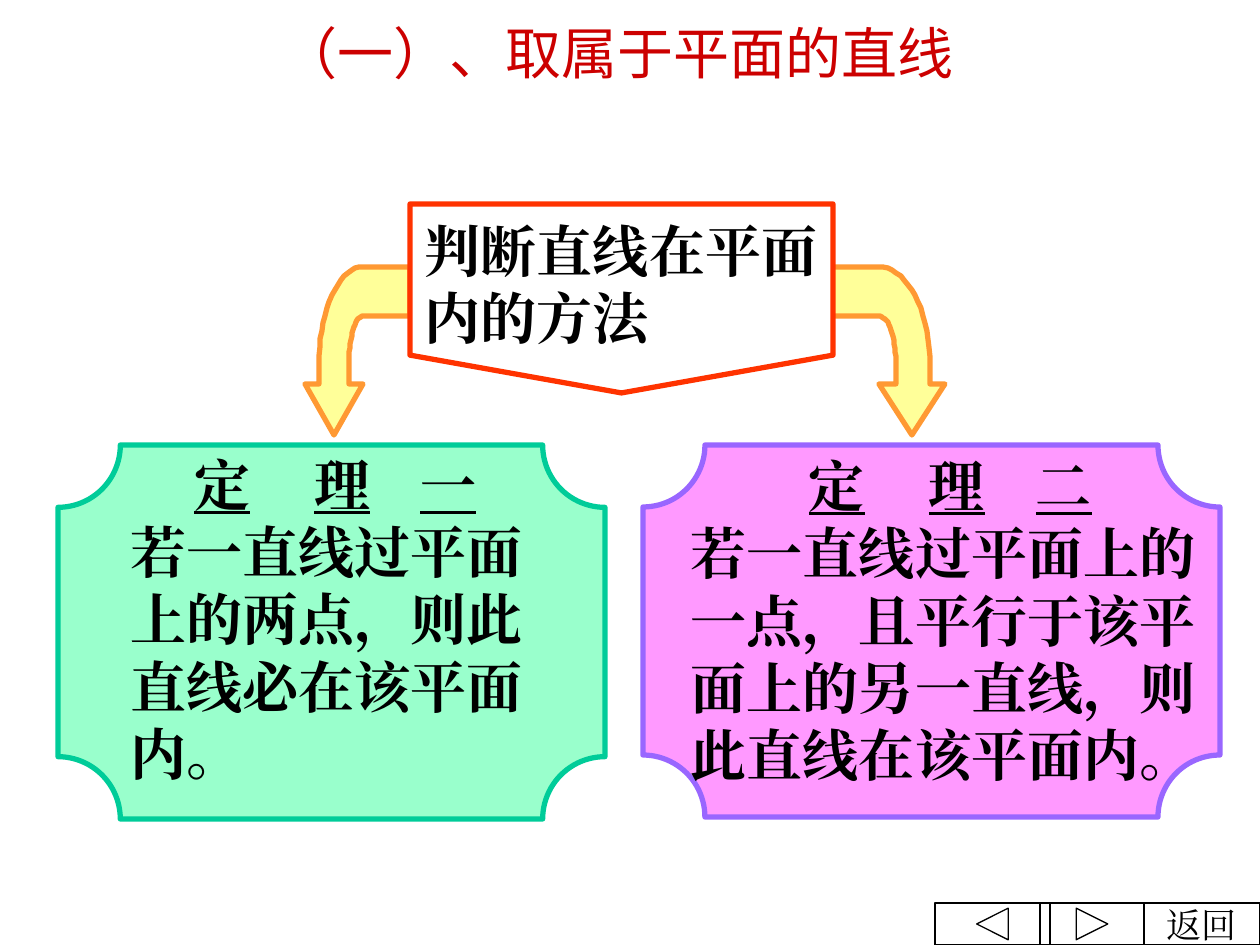
"""Build the slide on choosing straight lines that belong to a plane."""
import dataclasses
import math
import typing

import pptx
import pptx.dml.color
import pptx.enum.shapes
import pptx.enum.text
import pptx.oxml.ns
import pptx.util
from lxml import etree

RGBColor = pptx.dml.color.RGBColor
Preset = pptx.enum.shapes.MSO_SHAPE
Align = pptx.enum.text.PP_ALIGN

PIXEL = 914400 / 126
INSET_X, INSET_Y = 13, 6
SERIF = "Times New Roman"
SANS = "Noto Sans CJK JP"

BLACK = RGBColor(0x00, 0x00, 0x00)
WHITE = RGBColor(0xFF, 0xFF, 0xFF)
TITLE_RED = RGBColor(0xCC, 0x00, 0x00)
FRAME_RED = RGBColor(0xFF, 0x33, 0x00)
YELLOW = RGBColor(0xFF, 0xFF, 0x99)
ORANGE = RGBColor(0xFF, 0x99, 0x33)
MINT = RGBColor(0x99, 0xFF, 0xCC)
GREEN = RGBColor(0x00, 0xCC, 0x99)
PINK = RGBColor(0xFF, 0x99, 0xFF)
PURPLE = RGBColor(0x99, 0x66, 0xFF)


class Box(typing.NamedTuple):
    left: int
    top: int
    width: int
    height: int


@dataclasses.dataclass(frozen=True)
class BentArrow:
    start: int
    bend: int
    direction: int
    outer: int
    inner: int
    head: int


@dataclasses.dataclass(frozen=True)
class Theorem:
    plaque: Box
    text_box: Box
    fill: RGBColor
    line: RGBColor
    number: str
    statement: str
    tabs: tuple[int, ...]


@dataclasses.dataclass(frozen=True)
class Button:
    preset: typing.Any
    box: Box
    label: str = ""


ARROWS = (
    BentArrow(start=829, bend=879, direction=1, outer=51, inner=17, head=66),
    BentArrow(start=410, bend=363, direction=-1, outer=44, inner=14, head=58),
)
THEOREMS = (
    Theorem(Box(58, 445, 547, 374), Box(117, 444, 462, 349), MINT, GREEN, "一",
            "若一直线过平面上的两点，则此直线必在该平面内。", (64, 184, 290)),
    Theorem(Box(643, 445, 577, 372), Box(678, 445, 544, 349), PINK, PURPLE, "二",
            "若一直线过平面上的一点，且平行于该平面上的另一直线，则此直线在该平面内。",
            (118, 238, 345)),
)
BUTTONS = (
    Button(Preset.ACTION_BUTTON_CUSTOM, Box(1144, 903, 116, 42), "返回"),
    Button(Preset.ACTION_BUTTON_BACK_OR_PREVIOUS, Box(935, 903, 115, 42)),
    Button(Preset.ACTION_BUTTON_FORWARD_OR_NEXT, Box(1040, 903, 104, 42)),
)


def px(value: float) -> int:
    """Turn pixels into EMU."""
    return round(value * PIXEL)


def style(shape, fill: RGBColor | None, line: RGBColor, line_width: float) -> None:
    """Set a shape's fill and outline and remove its shadow."""
    shape.shadow.inherit = False
    if fill is None:
        shape.fill.background()
    else:
        shape.fill.solid()
        shape.fill.fore_color.rgb = fill
    shape.line.color.rgb = line
    shape.line.width = pptx.util.Pt(line_width)


def add_preset(slide, preset, box: Box, fill: RGBColor | None, line: RGBColor,
               line_width: float = 3):
    """Add a preset shape."""
    shape = slide.shapes.add_shape(preset, *map(px, box))
    style(shape, fill, line, line_width)
    return shape


def add_tabs(paragraph, stops: tuple[int, ...]) -> None:
    """Give a paragraph left tab stops."""
    qn = pptx.oxml.ns.qn
    tab_list = etree.SubElement(paragraph._p.get_or_add_pPr(), qn("a:tabLst"))
    for stop in stops:
        etree.SubElement(tab_list, qn("a:tab"), pos=str(px(stop)), algn="l")


def write_text(shape, text: str, *, size: int = 32, font: str = SERIF,
               color: RGBColor = BLACK, bold: bool = False, align=Align.LEFT,
               line_points: float | None = None, tabs: tuple[int, ...] = (),
               right_inset: int = INSET_X, wrap: bool = True) -> None:
    """Write paragraphs split by newlines; a leading tab marks an underlined heading."""
    frame = shape.text_frame
    frame.word_wrap = wrap
    frame.vertical_anchor = pptx.enum.text.MSO_ANCHOR.MIDDLE
    frame.margin_left, frame.margin_right = px(INSET_X), px(right_inset)
    frame.margin_top = frame.margin_bottom = px(INSET_Y)
    for index, line in enumerate(text.split("\n")):
        paragraph = frame.add_paragraph() if index else frame.paragraphs[0]
        paragraph.alignment = align
        if line_points:
            paragraph.line_spacing = pptx.util.Pt(line_points)
        heading = line.startswith("\t")
        if heading:
            add_tabs(paragraph, tabs)
        parts = (("\t", False), (line[1:], True)) if heading else ((line, False),)
        for part, underline in parts:
            run = paragraph.add_run()
            run.text = part
            run.font.size = pptx.util.Pt(size)
            run.font.name = font
            run.font.bold = bold
            run.font.underline = underline
            run.font.color.rgb = color
            etree.SubElement(run.font._element, pptx.oxml.ns.qn("a:ea"), typeface=font)


def add_text(slide, box: Box, text: str, **text_format) -> None:
    """Add a text box."""
    write_text(slide.shapes.add_textbox(*map(px, box)), text, **text_format)


def draw_arrow(slide, arrow: BentArrow) -> None:
    """Draw a block arrow that bends from horizontal to downward."""
    top, inner_top, bend_end, neck, tip = 267, 316, 364, 384, 435

    def across(offset: float) -> float:
        return arrow.bend + arrow.direction * offset

    def quarter(radius: int, height: int) -> list[tuple[float, float]]:
        angles = [math.radians(degree) for degree in range(0, 91, 5)]
        return [(across(radius * math.sin(angle)), bend_end - height * math.cos(angle))
                for angle in angles]

    points = [
        *quarter(arrow.outer, bend_end - top),
        (across(arrow.outer), neck), (across(arrow.head), neck),
        (across(arrow.head / 2), tip), (across(0), neck), (across(arrow.inner), neck),
        *reversed(quarter(arrow.inner, bend_end - inner_top)),
        (arrow.start, inner_top),
    ]
    builder = slide.shapes.build_freeform(arrow.start, top, scale=PIXEL)
    builder.add_line_segments(points, close=True)
    style(builder.convert_to_shape(), YELLOW, ORANGE, 3)


def draw_theorem(slide, theorem: Theorem) -> None:
    """Draw a plaque with a theorem's heading and statement."""
    add_preset(slide, Preset.PLAQUE, theorem.plaque, theorem.fill, theorem.line)
    add_text(slide, theorem.text_box, f"\t定\t理\t{theorem.number}\n{theorem.statement}",
             bold=True, line_points=38.5, tabs=theorem.tabs)


def draw_button(slide, button: Button) -> None:
    """Draw a navigation button."""
    shape = add_preset(slide, button.preset, button.box, None, BLACK, 0.75)
    if button.label:
        write_text(shape, button.label, size=20, align=Align.CENTER, wrap=False)


def main() -> None:
    """Build and save the presentation."""
    presentation = pptx.Presentation()
    presentation.slide_width, presentation.slide_height = px(1260), px(945)
    slide = presentation.slides.add_slide(presentation.slide_layouts[6])
    for arrow in ARROWS:
        draw_arrow(slide, arrow)
    add_preset(slide, Preset.FLOWCHART_OFFPAGE_CONNECTOR, Box(410, 204, 423, 189),
               WHITE, FRAME_RED)
    add_text(slide, Box(412, 210, 449, 147), "判断直线在平面内的方法",
             bold=True, line_points=38.5)
    for theorem in THEOREMS:
        draw_theorem(slide, theorem)
    add_text(slide, Box(0, 10, 1260, 84), "（一）、取属于平面的直线", font=SANS,
             color=TITLE_RED, align=Align.CENTER, right_inset=37)
    for button in BUTTONS:
        draw_button(slide, button)
    presentation.save("out.pptx")


if __name__ == "__main__":
    main()
